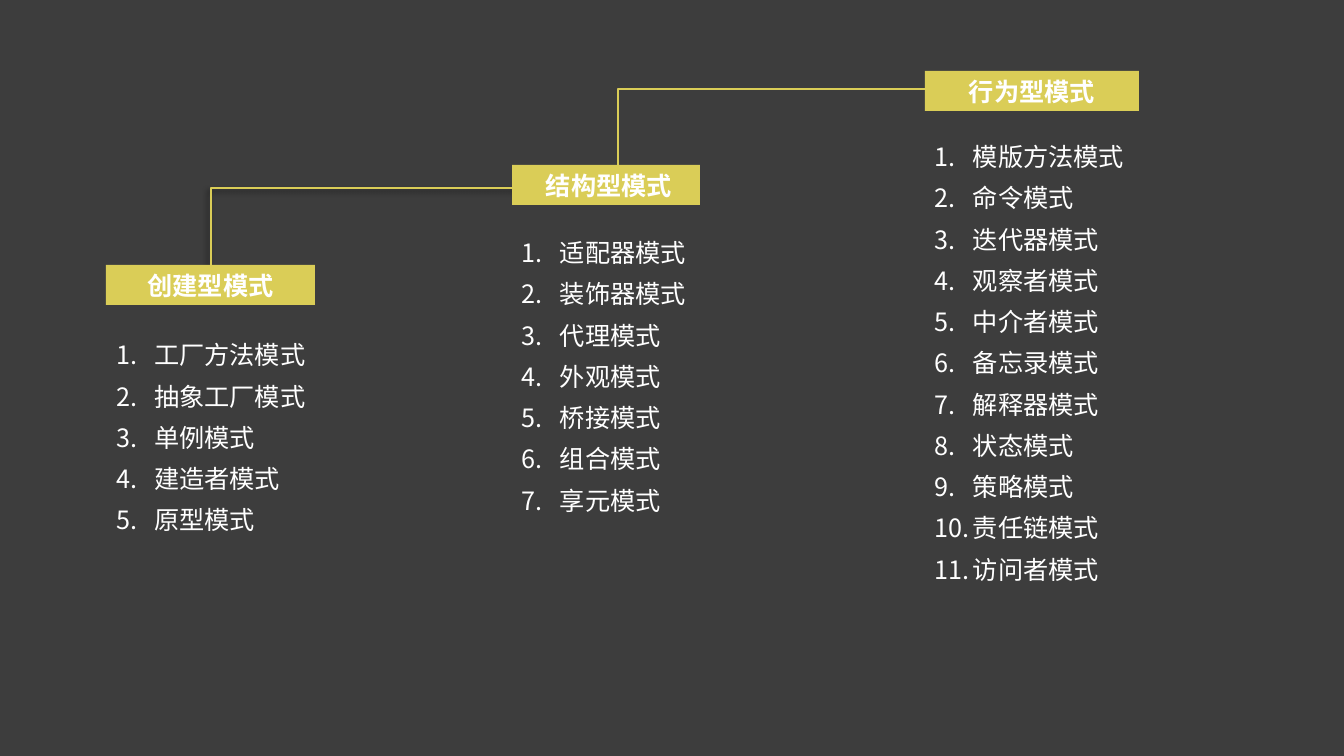
import pptx
import pptx.dml.color
import pptx.enum.shapes
import pptx.enum.text
import pptx.oxml.ns
import pptx.util
from lxml import etree

COLOURS = {"backdrop": "3D3D3D", "accent": "DACD57", "text": "FFFFFF", "shadow": "000000"}
FONT = "Noto Sans CJK KR"
LIST_FORMAT = {
    "line_spacing": 0.9,
    "space_before": pptx.util.Pt(10),
    "space_after": pptx.util.Pt(0),
    "alignment": pptx.enum.text.PP_ALIGN.LEFT,
}
HEADING_FORMAT = {"alignment": pptx.enum.text.PP_ALIGN.CENTER}


def px(length):
    return pptx.util.Emu(round(length * 914400 / 100.8))


def colour(name):
    return pptx.dml.color.RGBColor.from_string(COLOURS[name])


def add_xml(parent, tag, **attributes):
    return etree.SubElement(parent, pptx.oxml.ns.qn(tag), attributes)


class PatternSlide:
    """Holds the style and the slide, and draws each kind of element."""

    def __init__(self, deck):
        self.slide = deck.slides.add_slide(deck.slide_layouts[1])
        title = self.slide.shapes.title.element
        title.getparent().remove(title)
        self.slide.background.fill.solid()
        self.slide.background.fill.fore_color.rgb = colour("backdrop")

    def label(self, paragraph, text, bold, layout):
        for attribute, value in layout.items():
            setattr(paragraph, attribute, value)
        run = paragraph.add_run()
        run.text = text
        for attribute, value in {"size": pptx.util.Pt(18), "name": FONT, "bold": bold}.items():
            setattr(run.font, attribute, value)
        run.font.color.rgb = colour("text")
        add_xml(run.font._element, "a:ea", typeface=FONT)

    def numbered_list(self, items, left, top, width, height, placeholder=None):
        box = [px(side) for side in (left, top, width, height)]
        patterns = placeholder or self.slide.shapes.add_textbox(*box)
        for attribute, value in zip(("left", "top", "width", "height"), box):
            setattr(patterns, attribute, value)
        frame = patterns.text_frame
        frame.word_wrap = True
        frame.auto_size = pptx.enum.text.MSO_AUTO_SIZE.SHAPE_TO_FIT_TEXT
        for index, item in enumerate(items):
            paragraph = frame.add_paragraph() if index else frame.paragraphs[0]
            self.label(paragraph, item, False, LIST_FORMAT)
            properties = paragraph._p.get_or_add_pPr()
            properties.set("marL", str(px(38)))
            properties.set("indent", str(-px(38)))
            add_xml(properties, "a:buFont", typeface=FONT)
            add_xml(properties, "a:buAutoNum", type="arabicPeriod")

    def heading(self, text, left, top, width, height=40):
        banner = self.slide.shapes.add_shape(
            pptx.enum.shapes.MSO_SHAPE.RECTANGLE, px(left), px(top), px(width), px(height))
        banner.shadow.inherit = False
        banner.fill.solid()
        banner.fill.fore_color.rgb = colour("accent")
        banner.line.fill.background()
        banner.text_frame.vertical_anchor = pptx.enum.text.MSO_ANCHOR.MIDDLE
        self.label(banner.text_frame.paragraphs[0], text, True, HEADING_FORMAT)

    def step(self, start_x, start_y, end_x, end_y, shadow=False):
        elbow = self.slide.shapes.add_connector(
            pptx.enum.shapes.MSO_CONNECTOR.ELBOW, px(start_x), px(start_y), px(end_x), px(end_y))
        elbow.line.color.rgb = colour("accent")
        elbow.line.width = pptx.util.Pt(1.5)
        properties = elbow._element.spPr
        guides = properties.find(pptx.oxml.ns.qn("a:prstGeom")).get_or_add_avLst()
        add_xml(guides, "a:gd", name="adj1", fmla="val 0")
        effects = add_xml(properties, "a:effectLst")
        if shadow:
            cast = add_xml(effects, "a:outerShdw", blurRad=str(pptx.util.Pt(4)),
                           dist=str(pptx.util.Pt(3)), dir=str(135 * 60000))
            tint = add_xml(cast, "a:srgbClr", val=COLOURS["shadow"])
            add_xml(tint, "a:alpha", val="40000")


def main():
    deck = pptx.Presentation()
    deck.slide_width, deck.slide_height = px(1344), px(756)
    page = PatternSlide(deck)
    creational = ["工厂方法模式", "抽象工厂模式", "单例模式", "建造者模式", "原型模式"]
    structural = ["适配器模式", "装饰器模式", "代理模式", "外观模式", "桥接模式", "组合模式", "享元模式"]
    behavioural = ["模版方法模式", "命令模式", "迭代器模式", "观察者模式", "中介者模式", "备忘录模式",
                   "解释器模式", "状态模式", "策略模式", "责任链模式", "访问者模式"]
    page.numbered_list(creational, 106, 338, 218, 203, page.slide.placeholders[1])
    page.numbered_list(structural, 512, 236, 188, 284)
    page.numbered_list(behavioural, 925, 140, 224, 450)
    page.step(211, 279, 620, 188, shadow=True)
    page.step(618, 191, 1031, 89)
    page.heading(" 结构型模式", 512, 165, 188)
    page.heading("创建型模式", 106, 265, 209)
    page.heading("行为型模式", 925, 71, 214)
    deck.save("out.pptx")


if __name__ == "__main__":
    main()
